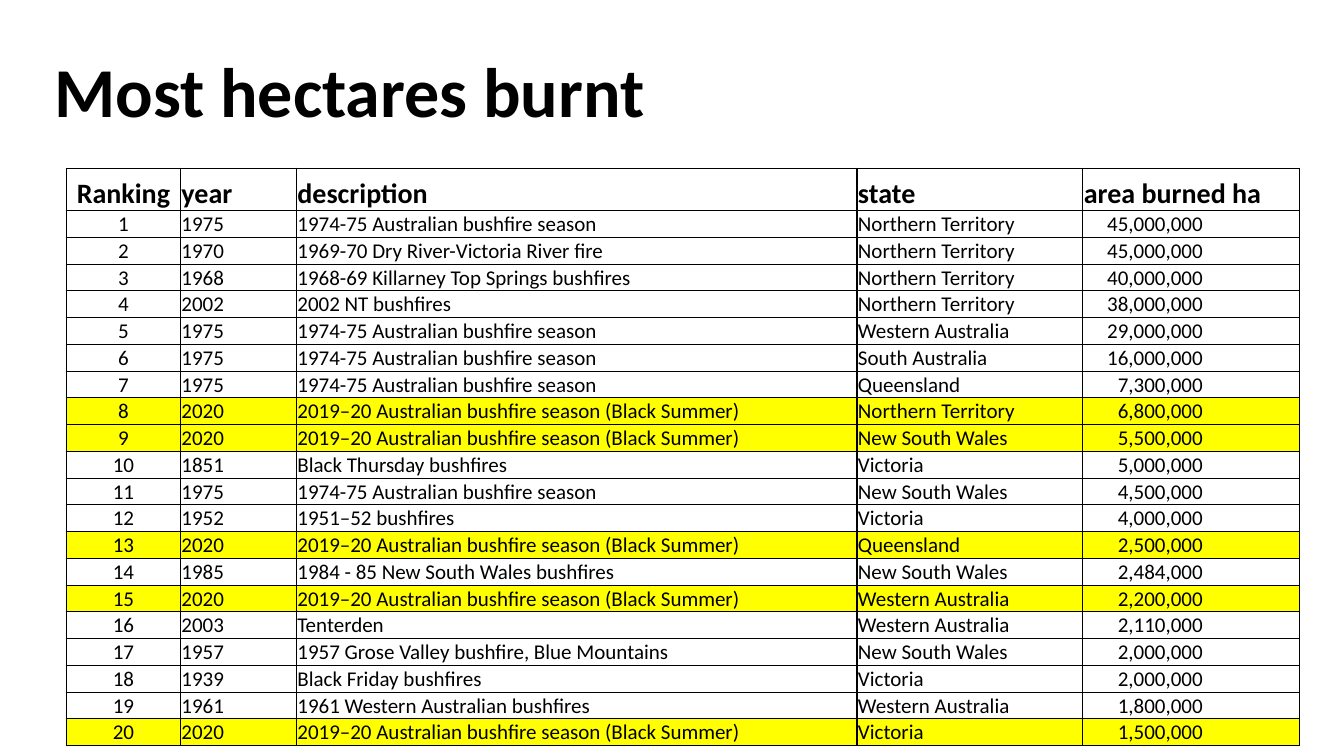
import pptx
import pptx.util
import pptx.dml.color
import pptx.enum.text
import pptx.oxml
import pptx.oxml.ns

TITLE = "Most hectares burnt"
HEADS = ("Ranking", "year", "description", "state", "area burned ha")
NT, WA, SA = "Northern Territory", "Western Australia", "South Australia"
QLD, NSW, VIC = "Queensland", "New South Wales", "Victoria"
LONG = "1974-75 Australian bushfire season"
BLACK = "2019–20 Australian bushfire season (Black Summer)"
FIRES = [
    (1975, LONG, NT, 45000000),
    (1970, "1969-70 Dry River-Victoria River fire", NT, 45000000),
    (1968, "1968-69 Killarney Top Springs bushfires", NT, 40000000),
    (2002, "2002 NT bushfires", NT, 38000000),
    (1975, LONG, WA, 29000000),
    (1975, LONG, SA, 16000000),
    (1975, LONG, QLD, 7300000),
    (2020, BLACK, NT, 6800000),
    (2020, BLACK, NSW, 5500000),
    (1851, "Black Thursday bushfires", VIC, 5000000),
    (1975, LONG, NSW, 4500000),
    (1952, "1951–52 bushfires", VIC, 4000000),
    (2020, BLACK, QLD, 2500000),
    (1985, "1984 - 85 New South Wales bushfires", NSW, 2484000),
    (2020, BLACK, WA, 2200000),
    (2003, "Tenterden", WA, 2110000),
    (1957, "1957 Grose Valley bushfire, Blue Mountains", NSW, 2000000),
    (1939, "Black Friday bushfires", VIC, 2000000),
    (1961, "1961 Western Australian bushfires", WA, 1800000),
    (2020, BLACK, VIC, 1500000),
]
THEME = {
    "font": "Calibri", "ink": "000000", "mark": "FFFF00",
    "title": 50, "head": 20, "body": 15, "rule": 1,
}
COLS = (1.13, 1.15, 5.56, 2.24, 2.15)
HEAD_ROW, ROW = 0.42, 0.24
LEFT, TOP = 0.66, 1.67
PAD, AREA_PAD = 0.01, 0.96

Inches = pptx.util.Inches
ALIGN = pptx.enum.text.PP_ALIGN
ANCHOR = pptx.enum.text.MSO_ANCHOR


def color(key):
    return pptx.dml.color.RGBColor.from_string(THEME[key])


def write(para, text, size, bold):
    run = para.add_run()
    run.text = text
    font = run.font
    font.name, font.size, font.bold = THEME["font"], pptx.util.Pt(THEME[size]), bold
    font.color.rgb = color("ink")


def border(cell):
    props = cell._tc.get_or_add_tcPr()
    width = pptx.util.Pt(THEME["rule"])
    for place, side in enumerate("LRTB"):
        line = pptx.oxml.parse_xml(
            f'<a:ln{side} {pptx.oxml.ns.nsdecls("a")} w="{width}"><a:solidFill>'
            f'<a:srgbClr val="{THEME["ink"]}"/></a:solidFill></a:ln{side}>')
        props.insert(place, line)


def add_title(slide):
    box = slide.shapes.add_textbox(Inches(0.44), Inches(0.22), Inches(11.5), Inches(1.45))
    frame = box.text_frame
    frame.word_wrap = True
    frame.vertical_anchor = ANCHOR.MIDDLE
    para = frame.paragraphs[0]
    para.line_spacing = 0.9
    write(para, TITLE, "title", True)


def fill_cell(cell, text, col, head, mark):
    area = col == 4 and not head
    cell.margin_left = cell.margin_top = Inches(PAD)
    cell.margin_right = Inches(AREA_PAD if area else PAD)
    cell.margin_bottom = 0
    cell.vertical_anchor = ANCHOR.BOTTOM
    if mark:
        cell.fill.solid()
        cell.fill.fore_color.rgb = color("mark")
    else:
        cell.fill.background()
    border(cell)
    para = cell.text_frame.paragraphs[0]
    para.alignment = ALIGN.CENTER if col == 0 else ALIGN.RIGHT if area else ALIGN.LEFT
    write(para, text, "head" if head else "body", head)


def add_ranks(slide):
    rows = [HEADS] + [
        (str(rank), str(year), name, state, f"{area:,}")
        for rank, (year, name, state, area) in enumerate(FIRES, 1)]
    high = HEAD_ROW + ROW * len(FIRES)
    table = slide.shapes.add_table(
        len(rows), len(COLS), Inches(LEFT), Inches(TOP),
        Inches(sum(COLS)), Inches(high)).table
    table.first_row = table.horz_banding = False
    for col, width in zip(table.columns, COLS):
        col.width = Inches(width)
    for r, texts in enumerate(rows):
        table.rows[r].height = Inches(ROW if r else HEAD_ROW)
        for c, text in enumerate(texts):
            fill_cell(table.cell(r, c), text, c, r == 0, texts[1] == "2020")


def main():
    deck = pptx.Presentation()
    deck.slide_width, deck.slide_height = Inches(13.33), Inches(7.5)
    slide = deck.slides.add_slide(deck.slide_layouts[6])
    add_ranks(slide)
    add_title(slide)
    deck.save("out.pptx")


if __name__ == "__main__":
    main()
